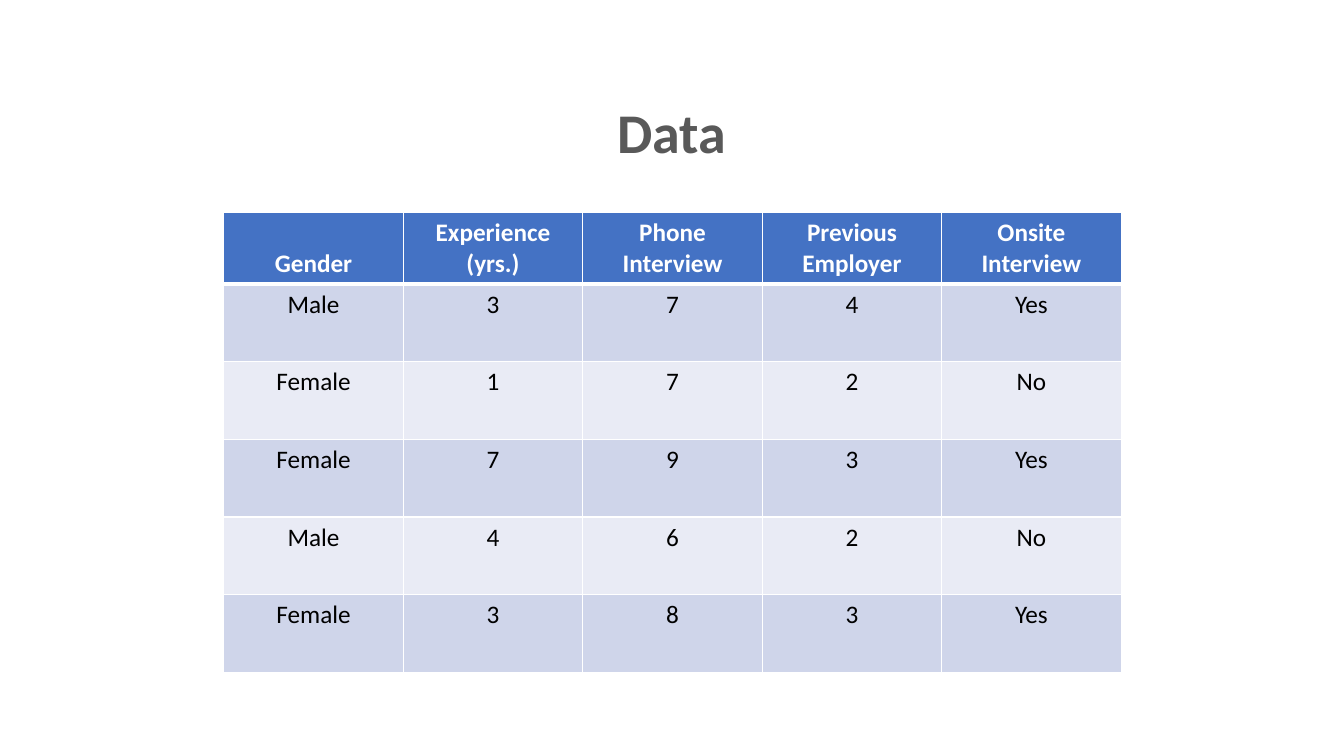
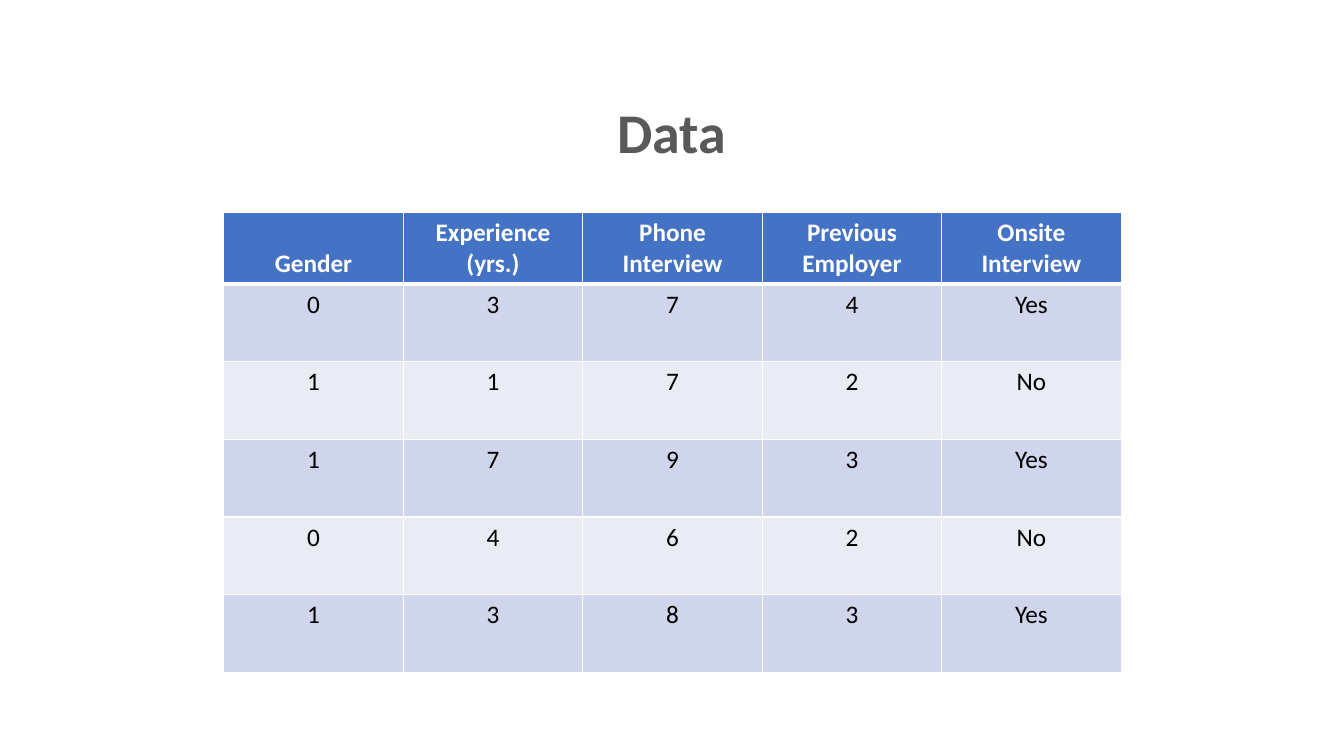
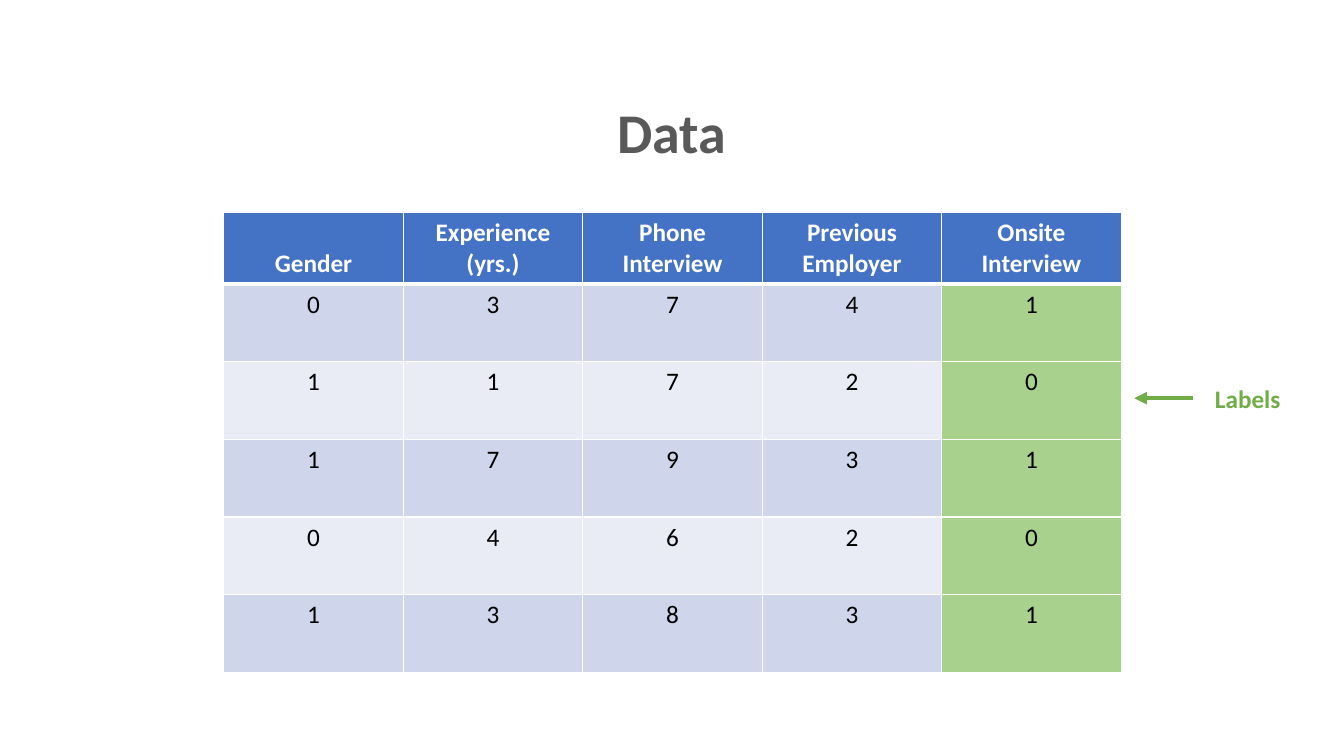
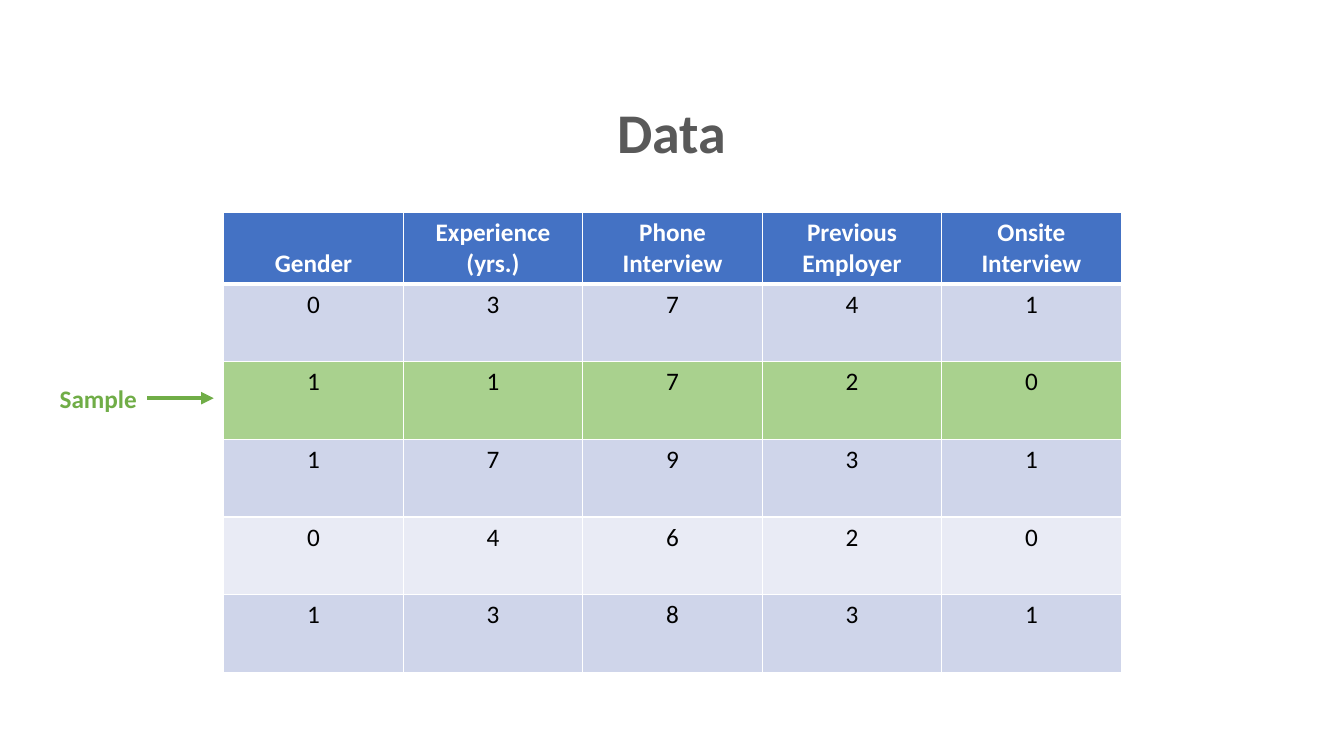
from dataclasses import dataclass
from typing import Optional

import lxml.etree
import pptx
import pptx.dml.color
import pptx.enum.shapes
import pptx.enum.text
import pptx.oxml.ns
import pptx.presentation
import pptx.slide
import pptx.table
import pptx.text.text
import pptx.util

Inches = pptx.util.Inches
ALIGN = pptx.enum.text.PP_ALIGN
ANCHOR = pptx.enum.text.MSO_ANCHOR
qn = pptx.oxml.ns.qn


# Theme
@dataclass(frozen=True)
class Theme:
    font: str = "Calibri"
    title_size: int = 40
    text_size: int = 18
    title: str = "595959"
    header: str = "4472C4"
    bands: tuple[str, str] = ("CFD5EA", "E9EBF5")
    highlight: str = "A9D18E"
    accent: str = "70AD47"
    white: str = "FFFFFF"
    black: str = "000000"
    border: int = 1
    heavy_line: int = 3


THEME = Theme()


# Content
@dataclass(frozen=True)
class Callout:
    text: str
    left: float
    arrow_start: float
    arrow_end: float


@dataclass(frozen=True)
class DataSlide:
    rows: list[tuple[str, ...]]
    callout: Optional[Callout] = None
    highlight_row: Optional[int] = None
    highlight_column: Optional[int] = None


HEADERS = ("Gender", "Experience\n(yrs.)", "Phone Interview",
           "Previous Employer", "Onsite Interview")
CANDIDATES = [
    ("Male", "3", "7", "4", "Yes"),
    ("Female", "1", "7", "2", "No"),
    ("Female", "7", "9", "3", "Yes"),
    ("Male", "4", "6", "2", "No"),
    ("Female", "3", "8", "3", "Yes"),
]
GENDER_CODES = {"Male": "0", "Female": "1"}
ANSWER_CODES = {"No": "0", "Yes": "1"}


def encode(rows: list[tuple[str, ...]], codes: dict[str, str]) -> list[tuple[str, ...]]:
    return [tuple(codes.get(value, value) for value in row) for row in rows]


GENDER_ENCODED = encode(CANDIDATES, GENDER_CODES)
FULLY_ENCODED = encode(GENDER_ENCODED, ANSWER_CODES)

SLIDES = [
    DataSlide(CANDIDATES),
    DataSlide(GENDER_ENCODED),
    DataSlide(FULLY_ENCODED, Callout("Labels", 11.83, 11.83, 11.25), highlight_column=4),
    DataSlide(FULLY_ENCODED, Callout("Sample", 0.43, 1.46, 2.12), highlight_row=1),
]

# Geometry in inches
TABLE_LEFT, TABLE_TOP = 2.22, 2.11
COLUMN_WIDTH, HEADER_HEIGHT, ROW_HEIGHT = 1.78, 0.7, 0.77
CALLOUT_TOP, CALLOUT_WIDTH, CALLOUT_HEIGHT = 3.75, 1.09, 0.4


def rgb(color: str) -> pptx.dml.color.RGBColor:
    return pptx.dml.color.RGBColor.from_string(color)


def write_text(frame: pptx.text.text.TextFrame, text: str, size: int,
               color: str, bold: bool) -> None:
    """Write one centred paragraph for each line of text."""
    for index, line in enumerate(text.split("\n")):
        paragraph = frame.add_paragraph() if index else frame.paragraphs[0]
        paragraph.alignment = ALIGN.CENTER
        run = paragraph.add_run()
        run.text = line
        run.font.name = THEME.font
        run.font.size = pptx.util.Pt(size)
        run.font.bold = bold
        run.font.color.rgb = rgb(color)


# Title
def add_title(slide: pptx.slide.Slide, text: str) -> None:
    title = slide.shapes.title
    title.left, title.top = Inches(4.51), Inches(0.67)
    title.width, title.height = Inches(4.31), Inches(1.26)
    title.text_frame.vertical_anchor = ANCHOR.MIDDLE
    write_text(title.text_frame, text, THEME.title_size, THEME.title, True)


# Table
def set_borders(cell: pptx.table._Cell, top: int, bottom: int) -> None:
    properties = cell._tc.get_or_add_tcPr()
    widths = {"a:lnL": THEME.border, "a:lnR": THEME.border, "a:lnT": top, "a:lnB": bottom}
    for tag, width in widths.items():
        line = lxml.etree.SubElement(properties, qn(tag), w=str(pptx.util.Pt(width)))
        fill = lxml.etree.SubElement(line, qn("a:solidFill"))
        lxml.etree.SubElement(fill, qn("a:srgbClr"), val=THEME.white)


def body_fill(data: DataSlide, row: int, column: int) -> str:
    if row == data.highlight_row or column == data.highlight_column:
        return THEME.highlight
    return THEME.bands[row % 2]


def add_data_table(slide: pptx.slide.Slide, data: DataSlide) -> None:
    rows = [HEADERS, *data.rows]
    table = slide.shapes.add_table(
        len(rows), len(HEADERS), Inches(TABLE_LEFT), Inches(TABLE_TOP),
        Inches(COLUMN_WIDTH * len(HEADERS)),
        Inches(HEADER_HEIGHT + ROW_HEIGHT * len(data.rows))).table
    for table_column in table.columns:
        table_column.width = Inches(COLUMN_WIDTH)
    for row, values in enumerate(rows):
        is_header = row == 0
        table.rows[row].height = Inches(HEADER_HEIGHT if is_header else ROW_HEIGHT)
        for column, value in enumerate(values):
            cell = table.cell(row, column)
            set_borders(cell, top=THEME.heavy_line if row == 1 else THEME.border,
                        bottom=THEME.heavy_line if is_header else THEME.border)
            cell.fill.solid()
            cell.fill.fore_color.rgb = rgb(
                THEME.header if is_header else body_fill(data, row - 1, column))
            cell.vertical_anchor = ANCHOR.BOTTOM if is_header else ANCHOR.TOP
            write_text(cell.text_frame, value, THEME.text_size,
                       THEME.white if is_header else THEME.black, is_header)


# Label with an arrow to the table
def add_callout(slide: pptx.slide.Slide, callout: Callout) -> None:
    middle = Inches(CALLOUT_TOP + CALLOUT_HEIGHT / 2)
    arrow = slide.shapes.add_connector(
        pptx.enum.shapes.MSO_CONNECTOR.STRAIGHT,
        Inches(callout.arrow_start), middle, Inches(callout.arrow_end), middle)
    arrow.line.color.rgb = rgb(THEME.accent)
    arrow.line.width = pptx.util.Pt(THEME.heavy_line)
    lxml.etree.SubElement(arrow.line._get_or_add_ln(), qn("a:tailEnd"), type="triangle")
    lxml.etree.SubElement(arrow._element.spPr, qn("a:effectLst"))

    label = slide.shapes.add_textbox(Inches(callout.left), Inches(CALLOUT_TOP),
                                     Inches(CALLOUT_WIDTH), Inches(CALLOUT_HEIGHT))
    label.text_frame.word_wrap = True
    label.text_frame.auto_size = pptx.enum.text.MSO_AUTO_SIZE.SHAPE_TO_FIT_TEXT
    write_text(label.text_frame, callout.text, THEME.text_size, THEME.accent, True)
    if callout.arrow_start == callout.left:
        arrow.begin_connect(label, 1)


def add_data_slide(presentation: pptx.presentation.Presentation, data: DataSlide) -> None:
    slide = presentation.slides.add_slide(
        presentation.slide_layouts.get_by_name("Title Only"))
    add_title(slide, "Data")
    add_data_table(slide, data)
    if data.callout:
        add_callout(slide, data.callout)


def main() -> None:
    presentation = pptx.Presentation()
    presentation.slide_width = Inches(13.33)
    presentation.slide_height = Inches(7.5)
    for data in SLIDES:
        add_data_slide(presentation, data)
    presentation.save("out.pptx")


if __name__ == "__main__":
    main()
